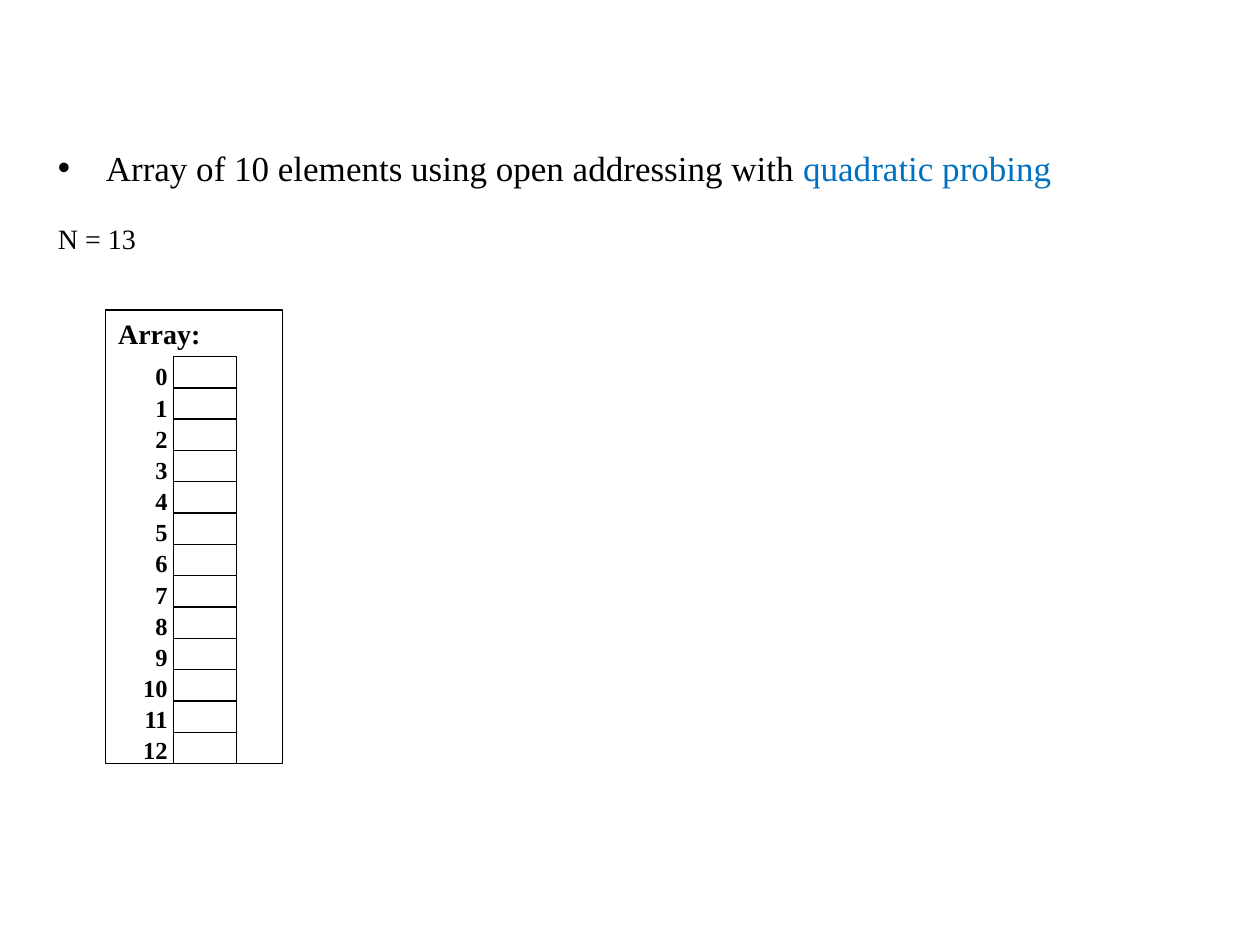
from lxml import etree
from pptx import Presentation
from pptx import util as u
from pptx.dml.color import RGBColor
from pptx.enum import shapes, text
from pptx.oxml.ns import qn

BLACK = RGBColor(0x00, 0x00, 0x00)
WHITE = RGBColor(0xFF, 0xFF, 0xFF)
BLUE = RGBColor(0x00, 0x70, 0xC0)
FONT = "Times New Roman"

STATEMENT = [("Array of 10 elements using open addressing with ", BLACK),
             ("quadratic probing", BLUE)]
SIZE_NOTE = [("N = 13", BLACK)]
ARRAY_TITLE = [("Array:", BLACK)]
SLOTS = 13

STATEMENT_BOX = (0.36, 1.11, 8.13, 1.78)
FRAME_BOX = (0.84, 2.46, 1.4, 3.6)
INDEX_BOX = (1.03, 2.82, 0.4, 3.33)
CELL_LEFT, CELL_TOP, CELL_WIDTH = 1.38, 2.83, 0.5
CELL_PITCH = (FRAME_BOX[1] + FRAME_BOX[3] - CELL_TOP) / SLOTS


def write(paragraph, pieces, size, bold=False, **layout):
    """Fill a paragraph with coloured pieces and apply its layout values."""
    values = {"alignment": text.PP_ALIGN.LEFT, "space_before": u.Pt(0),
              "space_after": u.Pt(0), **layout}
    for name, value in values.items():
        setattr(paragraph, name, value)
    for words, color in pieces:
        run = paragraph.add_run()
        run.text = words
        for name, value in {"name": FONT, "size": u.Pt(size), "bold": bold}.items():
            setattr(run.font, name, value)
        run.font.color.rgb = color


def set_bullet(paragraph, char=None, indent=0):
    """Give a paragraph a hanging bullet, or none at all."""
    props = paragraph._p.get_or_add_pPr()
    props.set("marL", str(u.Inches(indent)))
    props.set("indent", str(-u.Inches(indent)))
    if char:
        etree.SubElement(props, qn("a:buFont")).set("typeface", "Arial")
        etree.SubElement(props, qn("a:buChar")).set("char", char)
    else:
        etree.SubElement(props, qn("a:buNone"))


def format_frame(frame, wrap=False):
    """Anchor text at the top and set its wrapping."""
    values = {"word_wrap": wrap, "auto_size": text.MSO_AUTO_SIZE.NONE,
              "vertical_anchor": text.MSO_ANCHOR.TOP}
    for name, value in values.items():
        setattr(frame, name, value)


def add_box(parent, *box):
    """Add a white rectangle with a thin black outline."""
    rect = parent.add_shape(shapes.MSO_SHAPE.RECTANGLE, *map(u.Inches, box))
    rect.shadow.inherit = False
    rect.fill.solid()
    rect.fill.fore_color.rgb = WHITE
    rect.line.color.rgb = BLACK
    rect.line.width = u.Pt(0.75)
    return rect


deck = Presentation()
deck.slide_width, deck.slide_height = u.Inches(10), u.Inches(7.5)
slide = deck.slides.add_slide(deck.slide_layouts[1])
title = slide.shapes.title
title._element.getparent().remove(title._element)

# Statement and table size
statement = slide.placeholders[1]
for side, length in zip(("left", "top", "width", "height"), STATEMENT_BOX):
    setattr(statement, side, u.Inches(length))
format_frame(statement.text_frame)
bullet_line = statement.text_frame.paragraphs[0]
write(bullet_line, STATEMENT, 20)
set_bullet(bullet_line, "•", 0.38)
size_line = statement.text_frame.add_paragraph()
write(size_line, SIZE_NOTE, 16, space_before=u.Pt(19))
set_bullet(size_line)

# Array frame
array_frame = add_box(slide.shapes, *FRAME_BOX)
format_frame(array_frame.text_frame)
write(array_frame.text_frame.paragraphs[0], ARRAY_TITLE, 16, bold=True)

# Array cells with their indices
array = slide.shapes.add_group_shape()
for slot in range(SLOTS):
    add_box(array.shapes, CELL_LEFT, CELL_TOP + slot * CELL_PITCH, CELL_WIDTH, CELL_PITCH)
indices = array.shapes.add_textbox(*map(u.Inches, INDEX_BOX)).text_frame
format_frame(indices, wrap=True)
for slot in range(SLOTS):
    line = indices.add_paragraph() if slot else indices.paragraphs[0]
    write(line, [(str(slot), BLACK)], 14, bold=True,
          alignment=text.PP_ALIGN.RIGHT, space_after=u.Pt(1))

deck.save("out.pptx")
